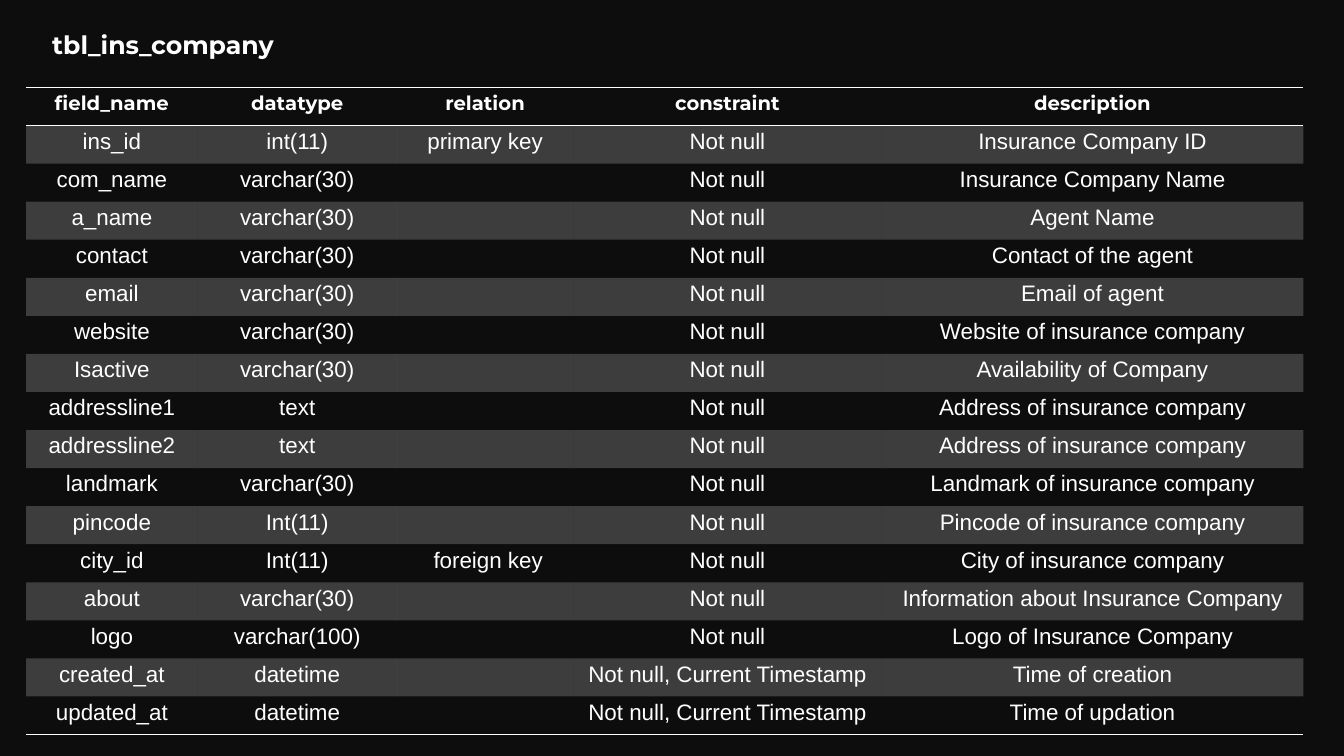
import pptx
import pptx.dml.color
import pptx.enum.text
import pptx.oxml
import pptx.oxml.ns
import pptx.util
from lxml import etree

Pt = pptx.util.Pt
qn = pptx.oxml.ns.qn

TITLE = "tbl_ins_company"
HEADER = ("field_name", "datatype", "relation", "constraint", "description")
REQUIRED = "Not null"
STAMPED = "Not null, Current Timestamp"
FIELDS = [
    ("ins_id", "int(11)", "primary key", REQUIRED, "Insurance Company ID"),
    ("com_name", "varchar(30)", "", REQUIRED, "Insurance Company Name"),
    ("a_name", "varchar(30)", "", REQUIRED, "Agent Name"),
    ("contact", "varchar(30)", "", REQUIRED, "Contact of the agent"),
    ("email", "varchar(30)", "", REQUIRED, "Email of agent"),
    ("website", "varchar(30)", "", REQUIRED, "Website of insurance company"),
    ("Isactive", "varchar(30)", "", REQUIRED, "Availability of Company"),
    ("addressline1", "text", "", REQUIRED, "Address of insurance company"),
    ("addressline2", "text", "", REQUIRED, "Address of insurance company"),
    ("landmark", "varchar(30)", "", REQUIRED, "Landmark of insurance company"),
    ("pincode", "Int(11)", "", REQUIRED, "Pincode of insurance company"),
    ("city_id", "Int(11)", " foreign key", REQUIRED, "City of insurance company"),
    ("about", "varchar(30)", "", REQUIRED, "Information about Insurance Company"),
    ("logo", "varchar(100)", "", REQUIRED, "Logo of Insurance Company"),
    ("created_at", "datetime", "", STAMPED, "Time of creation"),
    ("updated_at", "datetime", "", STAMPED, "Time of updation"),
]

BACKGROUND, WHITE = "0D0D0D", "FFFFFF"
BAND_OPACITY = 20
COLUMN_WIDTHS = (122.4, 142.4, 126, 220.2, 301.4)
SIDE_MARGINS = (6.5, 6.5, 6.5, 5, 6.5)
ROW_HEIGHT = 27.2
TABLE_LEFT, TABLE_TOP = 18.7, 62.5
PLAIN_TABLE_STYLE = "{2D5ABB26-0587-4C30-8999-92F81FD0307C}"


def color(value):
    return pptx.dml.color.RGBColor.from_string(value)


def write_text(frame, text, size=16, font="Arial", bold=False, fill=WHITE,
               align=None, line_spacing=None, space_after=None):
    paragraph = frame.paragraphs[0]
    paragraph.alignment = align
    paragraph.line_spacing = line_spacing
    if space_after is not None:
        paragraph.space_after = Pt(space_after)
    target = paragraph
    if text:
        target = paragraph.add_run()
        target.text = text
    target.font.size = Pt(size)
    target.font.name = font
    target.font.bold = bold
    target.font.color.rgb = color(fill)


def add_border(cell, tag):
    """Add a thin white rule; tag is a:lnT or a:lnB, given in that order."""
    properties = cell._tc.get_or_add_tcPr()
    line = etree.SubElement(properties, qn(tag), w=str(Pt(1)))
    fill = etree.SubElement(line, qn("a:solidFill"))
    etree.SubElement(fill, qn("a:srgbClr"), val=WHITE)


def fill_band(cell):
    cell.fill.solid()
    cell.fill.fore_color.rgb = color(WHITE)
    swatch = cell._tc.tcPr.find(".//" + qn("a:srgbClr") + "[last()]")
    swatch = cell._tc.tcPr.find(qn("a:solidFill")).find(qn("a:srgbClr"))
    etree.SubElement(swatch, qn("a:alpha"), val=str(BAND_OPACITY * 1000))


def add_field_table(slide):
    rows = [HEADER] + FIELDS
    frame = slide.shapes.add_table(
        len(rows), len(HEADER), Pt(TABLE_LEFT), Pt(TABLE_TOP),
        Pt(sum(COLUMN_WIDTHS)), Pt(ROW_HEIGHT * len(rows)))
    table = frame.table
    table.first_row = table.horz_banding = False
    table._tbl.tblPr.find(qn("a:tableStyleId")).text = PLAIN_TABLE_STYLE
    for column, width in zip(table.columns, COLUMN_WIDTHS):
        column.width = Pt(width)
    for row in table.rows:
        row.height = Pt(ROW_HEIGHT)

    for row_index, texts in enumerate(rows):
        is_header = row_index == 0
        is_last = row_index == len(rows) - 1
        for column_index, text in enumerate(texts):
            cell = table.cell(row_index, column_index)
            cell.margin_left = cell.margin_right = Pt(SIDE_MARGINS[column_index])
            cell.margin_top = cell.margin_bottom = 0
            if is_header:
                add_border(cell, "a:lnT")
            if is_header or is_last:
                add_border(cell, "a:lnB")
            if row_index % 2:
                fill_band(cell)
            else:
                cell.fill.background()
            write_text(cell.text_frame, text, size=14 if is_header else 16,
                       font="Montserrat" if is_header else "Arial",
                       bold=is_header, align=pptx.enum.text.PP_ALIGN.CENTER,
                       line_spacing=1.15, space_after=10)


def main():
    presentation = pptx.Presentation()
    presentation.slide_width, presentation.slide_height = Pt(960), Pt(540)
    slide = presentation.slides.add_slide(presentation.slide_layouts[6])
    slide.background.fill.solid()
    slide.background.fill.fore_color.rgb = color(BACKGROUND)

    add_field_table(slide)
    title = slide.shapes.add_textbox(Pt(30.2), Pt(17.5), Pt(178), Pt(29))
    title.text_frame.word_wrap = False
    title.text_frame.vertical_anchor = pptx.enum.text.MSO_ANCHOR.MIDDLE
    write_text(title.text_frame, TITLE, size=18, font="Montserrat", bold=True)

    presentation.save("out.pptx")


if __name__ == "__main__":
    main()
